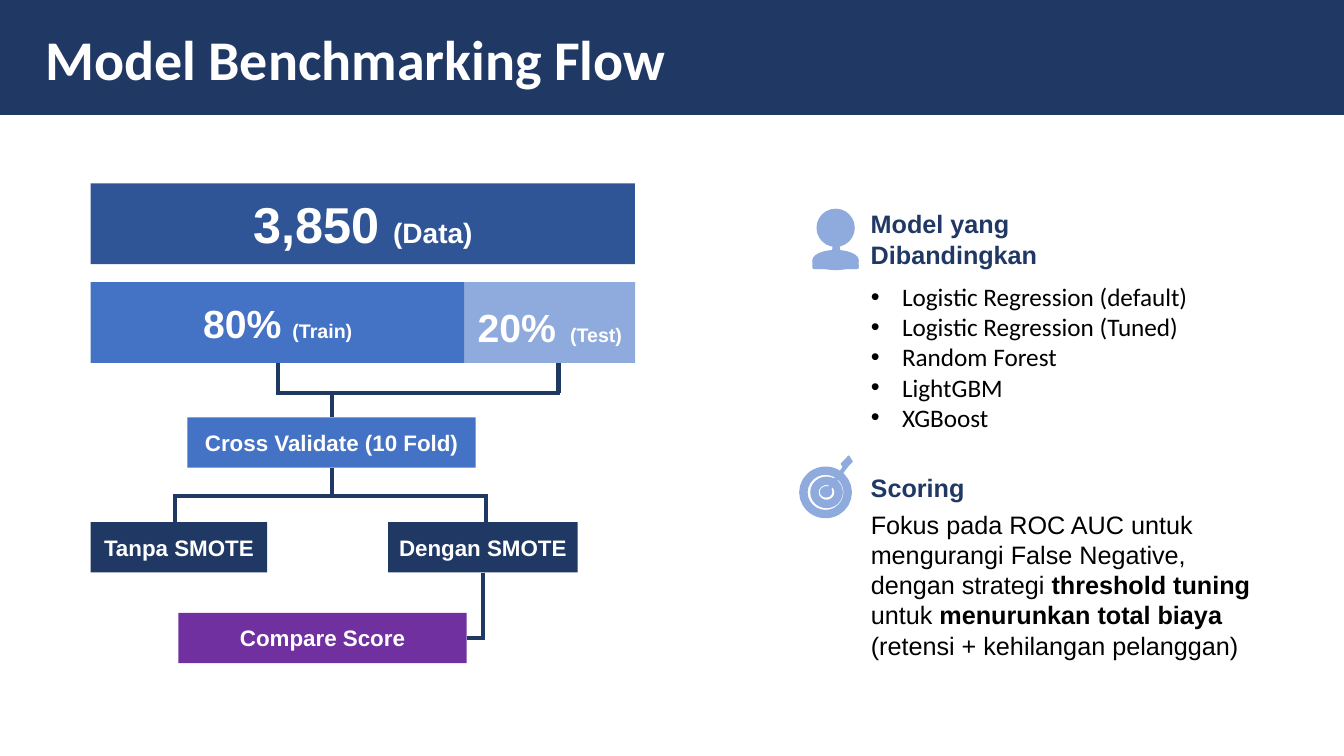
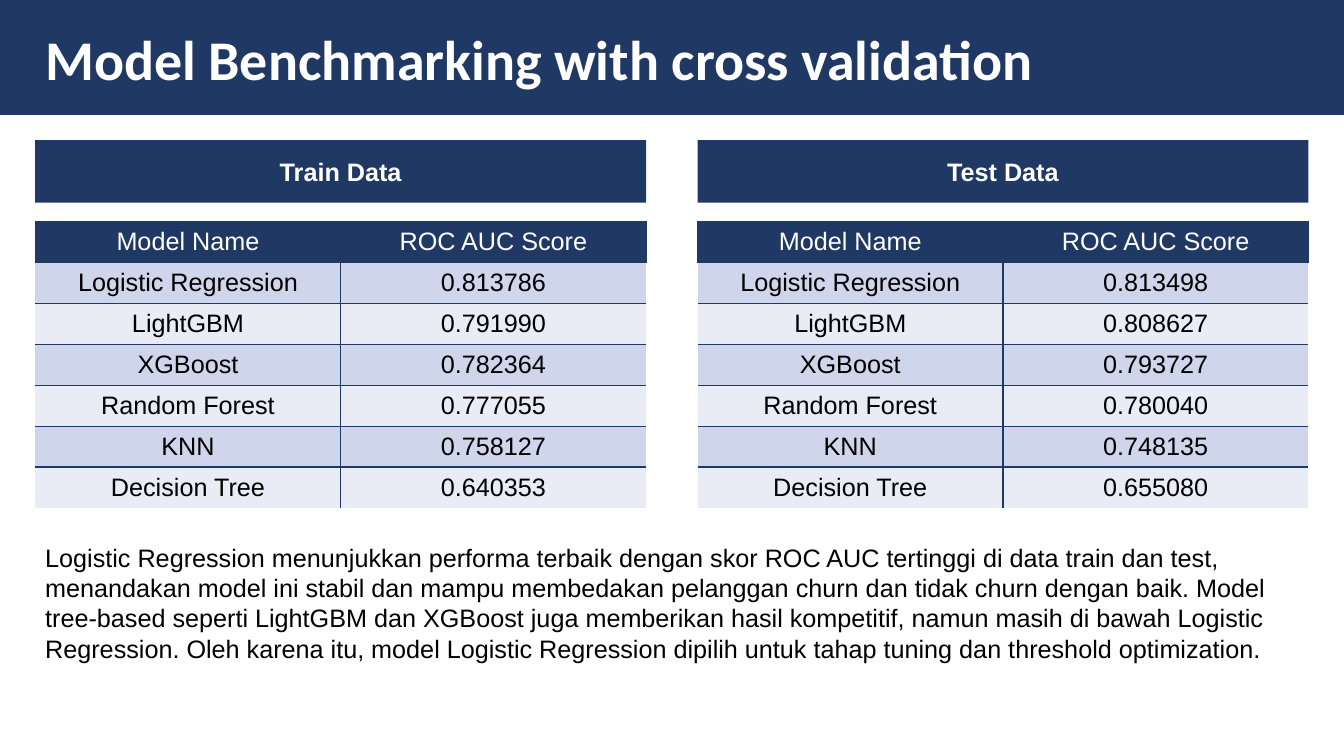
from dataclasses import dataclass

import lxml.etree
import pptx
import pptx.dml.color
import pptx.enum.shapes
import pptx.enum.text
import pptx.oxml.ns
import pptx.presentation
import pptx.shapes.autoshape
import pptx.shapes.connector
import pptx.slide
import pptx.table
import pptx.text.text
import pptx.util

# Palette and fonts
RGBColor = pptx.dml.color.RGBColor
NAVY = RGBColor(0x20, 0x38, 0x64)
DEEP_BLUE = RGBColor(0x2F, 0x55, 0x97)
BLUE = RGBColor(0x44, 0x72, 0xC4)
PALE_BLUE = RGBColor(0x8F, 0xAA, 0xDC)
PURPLE = RGBColor(0x70, 0x30, 0xA0)
BAND_DARK = RGBColor(0xCF, 0xD5, 0xEA)
BAND_LIGHT = RGBColor(0xE9, 0xEB, 0xF5)
WHITE = RGBColor(0xFF, 0xFF, 0xFF)
BLACK = RGBColor(0, 0, 0)
BODY_FONT = "Arial"
TITLE_FONT = "Calibri"

# Grid: square cells, ten to the inch
COLUMNS, ROWS = 133.33, 75
MARGIN = 3.5
Kind = pptx.enum.shapes.MSO_SHAPE
Align = pptx.enum.text.PP_ALIGN
Anchor = pptx.enum.text.MSO_ANCHOR
qn = pptx.oxml.ns.qn


def cells(count: float) -> pptx.util.Length:
    return pptx.util.Inches(count / 10)


@dataclass(frozen=True)
class Area:
    left: float
    top: float
    width: float
    height: float

    def lengths(self) -> tuple[pptx.util.Length, ...]:
        return tuple(cells(n) for n in (self.left, self.top, self.width, self.height))

    @property
    def center(self) -> float:
        return self.left + self.width / 2

    @property
    def middle(self) -> float:
        return self.top + self.height / 2

    @property
    def right(self) -> float:
        return self.left + self.width

    @property
    def bottom(self) -> float:
        return self.top + self.height


@dataclass(frozen=True)
class Run:
    text: str
    size: float = 18
    color: RGBColor = BLACK
    bold: bool = False
    font: str = BODY_FONT


@dataclass(frozen=True)
class Block:
    area: Area
    fill: RGBColor
    runs: tuple[Run, ...]


@dataclass(frozen=True)
class IconPart:
    kind: Kind
    area: Area
    filled: bool = True
    line_width: float = 0
    rotation: float = 0


@dataclass(frozen=True)
class ScorePanel:
    heading: str
    left: float
    scores: tuple[str, ...]


# Shared drawing functions
def add_runs(paragraph: pptx.text.text._Paragraph, runs: tuple[Run, ...]) -> None:
    for item in runs:
        run = paragraph.add_run()
        run.text = item.text
        run.font.name = item.font
        run.font.size = pptx.util.Pt(item.size)
        run.font.bold = item.bold
        run.font.color.rgb = item.color


def add_bullet(paragraph: pptx.text.text._Paragraph) -> None:
    properties = paragraph._p.get_or_add_pPr()
    indent = int(cells(3.1))
    properties.set("marL", str(indent))
    properties.set("indent", str(-indent))
    lxml.etree.SubElement(properties, qn("a:buFont")).set("typeface", BODY_FONT)
    lxml.etree.SubElement(properties, qn("a:buChar")).set("char", "•")


def add_text(slide: pptx.slide.Slide, area: Area, paragraphs: list[tuple[Run, ...]],
             bulleted: bool = False) -> None:
    frame = slide.shapes.add_textbox(*area.lengths()).text_frame
    frame.word_wrap = True
    for index, runs in enumerate(paragraphs):
        paragraph = frame.add_paragraph() if index else frame.paragraphs[0]
        if bulleted:
            add_bullet(paragraph)
        add_runs(paragraph, runs)


def add_block(slide: pptx.slide.Slide, block: Block) -> pptx.shapes.autoshape.Shape:
    shape = slide.shapes.add_shape(Kind.RECTANGLE, *block.area.lengths())
    shape.shadow.inherit = False
    shape.fill.solid()
    shape.fill.fore_color.rgb = block.fill
    shape.line.fill.background()
    shape.text_frame.vertical_anchor = Anchor.MIDDLE
    paragraph = shape.text_frame.paragraphs[0]
    paragraph.alignment = Align.CENTER
    add_runs(paragraph, block.runs)
    return shape


def add_line(shapes, start: tuple[float, float], end: tuple[float, float],
             color: RGBColor = NAVY) -> pptx.shapes.connector.Connector:
    connector = shapes.add_connector(
        pptx.enum.shapes.MSO_CONNECTOR.STRAIGHT, *(cells(n) for n in (*start, *end)))
    connector.line.color.rgb = color
    connector.line.width = pptx.util.Pt(3)
    lxml.etree.SubElement(connector._element.spPr, qn("a:effectLst"))
    return connector


def add_icon(slide: pptx.slide.Slide, parts: tuple[IconPart, ...]):
    group = slide.shapes.add_group_shape()
    for part in parts:
        shape = group.shapes.add_shape(part.kind, *part.area.lengths())
        shape.shadow.inherit = False
        shape.rotation = part.rotation
        if part.filled:
            shape.fill.solid()
            shape.fill.fore_color.rgb = PALE_BLUE
        else:
            shape.fill.background()
        if part.line_width:
            shape.line.color.rgb = PALE_BLUE
            shape.line.width = pptx.util.Pt(part.line_width)
        else:
            shape.line.fill.background()
    return group


def add_titled_slide(presentation: pptx.presentation.Presentation, title: str) -> pptx.slide.Slide:
    slide = presentation.slides.add_slide(presentation.slide_layouts[6])
    add_block(slide, Block(Area(0, 0, COLUMNS, 11.4), NAVY, ()))
    add_text(slide, Area(MARGIN, 1.9, 127.4, 7.7),
             [(Run(title, 40, WHITE, True, TITLE_FONT),)])
    return slide


# Slide 1: flow chart and side notes
def label(text: str, size: float = 16) -> Run:
    return Run(text, size, WHITE, True)


DATA = Block(Area(9, 18.2, 54, 8), DEEP_BLUE, (label("3,850 ", 36), label("(Data)", 20)))
TRAIN = Block(Area(9, 28, 37.1, 8), BLUE, (label("80% ", 28), label("(Train)", 14)))
TEST = Block(Area(46.1, 28, 16.9, 8), PALE_BLUE,
             (label("20%", 28), label(" ", 36), label("(Test)", 14)))
VALIDATE = Block(Area(18.6, 41.4, 28.6, 5), BLUE, (label("Cross Validate (10 Fold)"),))
WITHOUT_SMOTE = Block(Area(9, 51.8, 17.5, 5), NAVY, (label("Tanpa SMOTE"),))
WITH_SMOTE = Block(Area(38.5, 51.8, 18.8, 5), NAVY, (label("Dengan SMOTE"),))
COMPARE = Block(Area(17.7, 60.8, 28.6, 5), PURPLE, (label("Compare Score"),))

PERSON = (
    IconPart(Kind.ISOSCELES_TRIANGLE, Area(82.5, 21.7, 0.9, 3.5)),
    IconPart(Kind.OVAL, Area(81, 20.7, 3.8, 3.8)),
    IconPart(Kind.ROUNDED_RECTANGLE, Area(80.6, 25.7, 4.6, 1)),
    IconPart(Kind.OVAL, Area(80.6, 24.8, 4.6, 2)),
)
TARGET = (
    IconPart(Kind.OVAL, Area(79.7, 46.7, 4.4, 4.3), False, 6),
    IconPart(Kind.OVAL, Area(80.8, 47.7, 2.4, 2.3), False, 6),
    IconPart(Kind.OVAL, Area(81.4, 48.3, 1.1, 1), True, 1),
    IconPart(Kind.PARALLELOGRAM, Area(83.4, 45.6, 1.2, 0.6), True, 1, 314.1),
)
NOTES_LEFT = 85.4
COMPARED_MODELS = ("Logistic Regression (default)", "Logistic Regression (Tuned)",
                   "Random Forest", "LightGBM", "XGBoost")


def add_flow(slide: pptx.slide.Slide) -> None:
    train, validate, with_smote, compare = (
        add_block(slide, block) for block in (TRAIN, VALIDATE, WITH_SMOTE, COMPARE))
    for block in (DATA, TEST, WITHOUT_SMOTE):
        add_block(slide, block)

    # Horizontal rails and the drops that meet them; overlap closes the corners
    overlap = 0.2
    merge_row, split_row = 39, 49.2
    test_drop, without_drop, with_drop = 55.4, 17.4, 48.2
    train_center, validate_center = TRAIN.area.center, VALIDATE.area.center
    add_line(slide.shapes, (train_center - overlap, merge_row), (test_drop + overlap, merge_row))
    add_line(slide.shapes, (without_drop - overlap, split_row), (with_drop + overlap, split_row))
    add_line(slide.shapes, (test_drop, TEST.area.bottom), (test_drop, merge_row))
    for drop in (without_drop, with_drop):
        add_line(slide.shapes, (drop, split_row), (drop, WITH_SMOTE.area.top))

    add_line(slide.shapes, (train_center, TRAIN.area.bottom),
             (train_center, merge_row)).begin_connect(train, 2)
    add_line(slide.shapes, (validate_center, merge_row),
             (validate_center, VALIDATE.area.top)).end_connect(validate, 0)
    add_line(slide.shapes, (validate_center, VALIDATE.area.bottom),
             (validate_center, split_row)).begin_connect(validate, 2)

    turn, compare_row = WITH_SMOTE.area.center, COMPARE.area.middle
    add_line(slide.shapes, (turn, WITH_SMOTE.area.bottom),
             (turn, compare_row + overlap)).begin_connect(with_smote, 2)
    add_line(slide.shapes, (COMPARE.area.right, compare_row),
             (turn, compare_row)).begin_connect(compare, 3)


def add_notes_column(slide: pptx.slide.Slide) -> None:
    add_icon(slide, PERSON)
    target = add_icon(slide, TARGET)
    add_line(target.shapes, (82, 48.8), (84.4, 45.6), PALE_BLUE)
    add_text(slide, Area(NOTES_LEFT, 20.2, 20, 7.1),
             [(Run(text, color=NAVY, bold=True),) for text in ("Model yang", "Dibandingkan")])
    add_text(slide, Area(NOTES_LEFT, 27.4, 33.8, 16.2),
             [(Run(name, font=TITLE_FONT),) for name in COMPARED_MODELS], bulleted=True)
    add_text(slide, Area(NOTES_LEFT, 46.4, 20, 4), [(Run("Scoring", color=NAVY, bold=True),)])
    add_text(slide, Area(NOTES_LEFT, 50, 39.9, 16.2), [(
        Run("Fokus pada ROC AUC untuk mengurangi False Negative, dengan strategi "),
        Run("threshold tuning ", bold=True),
        Run("untuk "),
        Run("menurunkan total biaya ", bold=True),
        Run("(retensi + kehilangan pelanggan)"),
    )])


# Slide 2: score tables
PANEL_WIDTH = 60.6
TABLE_HEIGHT = 28.4
HEADER = ("Model Name", "ROC AUC Score")
MODELS = ("Logistic Regression", "LightGBM", "XGBoost", "Random Forest", "KNN", "Decision Tree")
PANELS = (
    ScorePanel("Train Data", MARGIN,
               ("0.813786", "0.791990", "0.782364", "0.777055", "0.758127", "0.640353")),
    ScorePanel("Test Data", 69.2,
               ("0.813498", "0.808627", "0.793727", "0.780040", "0.748135", "0.655080")),
)
SUMMARY = (
    "Logistic Regression menunjukkan performa terbaik dengan skor ROC AUC tertinggi di data "
    "train dan test, menandakan model ini stabil dan mampu membedakan pelanggan churn dan tidak "
    "churn dengan baik. Model tree-based seperti LightGBM dan XGBoost juga memberikan hasil "
    "kompetitif, namun masih di bawah Logistic Regression. Oleh karena itu, model Logistic "
    "Regression dipilih untuk tahap tuning dan threshold optimization."
)


def set_borders(cell: pptx.table._Cell, visible: dict[str, bool]) -> None:
    properties = cell._tc.get_or_add_tcPr()
    for side, shown in visible.items():
        line = lxml.etree.SubElement(properties, qn(f"a:ln{side}"), w=str(pptx.util.Pt(1)))
        fill = lxml.etree.SubElement(line, qn("a:solidFill" if shown else "a:noFill"))
        if shown:
            lxml.etree.SubElement(fill, qn("a:srgbClr"), val=str(NAVY))


def add_panel(slide: pptx.slide.Slide, panel: ScorePanel) -> None:
    add_block(slide, Block(Area(panel.left, 13.9, PANEL_WIDTH, 6.2), NAVY,
                           (label(panel.heading, 18),)))
    rows = [HEADER, *zip(MODELS, panel.scores)]
    area = Area(panel.left, 22, PANEL_WIDTH, TABLE_HEIGHT)
    table = slide.shapes.add_table(len(rows), len(HEADER), *area.lengths()).table
    for row, values in enumerate(rows):
        table.rows[row].height = cells(TABLE_HEIGHT / len(rows))
        is_header = row == 0
        for column, value in enumerate(values):
            cell = table.cell(row, column)
            set_borders(cell, {"L": is_header or column > 0, "R": is_header or column == 0,
                               "T": True, "B": row < len(rows) - 1})
            cell.fill.solid()
            cell.fill.fore_color.rgb = (
                NAVY if is_header else BAND_DARK if row % 2 else BAND_LIGHT)
            cell.vertical_anchor = Anchor.MIDDLE
            paragraph = cell.text_frame.paragraphs[0]
            paragraph.alignment = Align.CENTER
            add_runs(paragraph, (Run(value, color=WHITE if is_header else BLACK),))


def main() -> None:
    presentation = pptx.Presentation()
    presentation.slide_width, presentation.slide_height = cells(COLUMNS), cells(ROWS)

    flow_slide = add_titled_slide(presentation, "Model Benchmarking Flow")
    add_flow(flow_slide)
    add_notes_column(flow_slide)

    score_slide = add_titled_slide(presentation, "Model Benchmarking with cross validation")
    for panel in PANELS:
        add_panel(score_slide, panel)
    add_text(score_slide, Area(MARGIN, 53.3, 126.3, 13.1), [(Run(SUMMARY),)])

    presentation.save("out.pptx")


if __name__ == "__main__":
    main()
